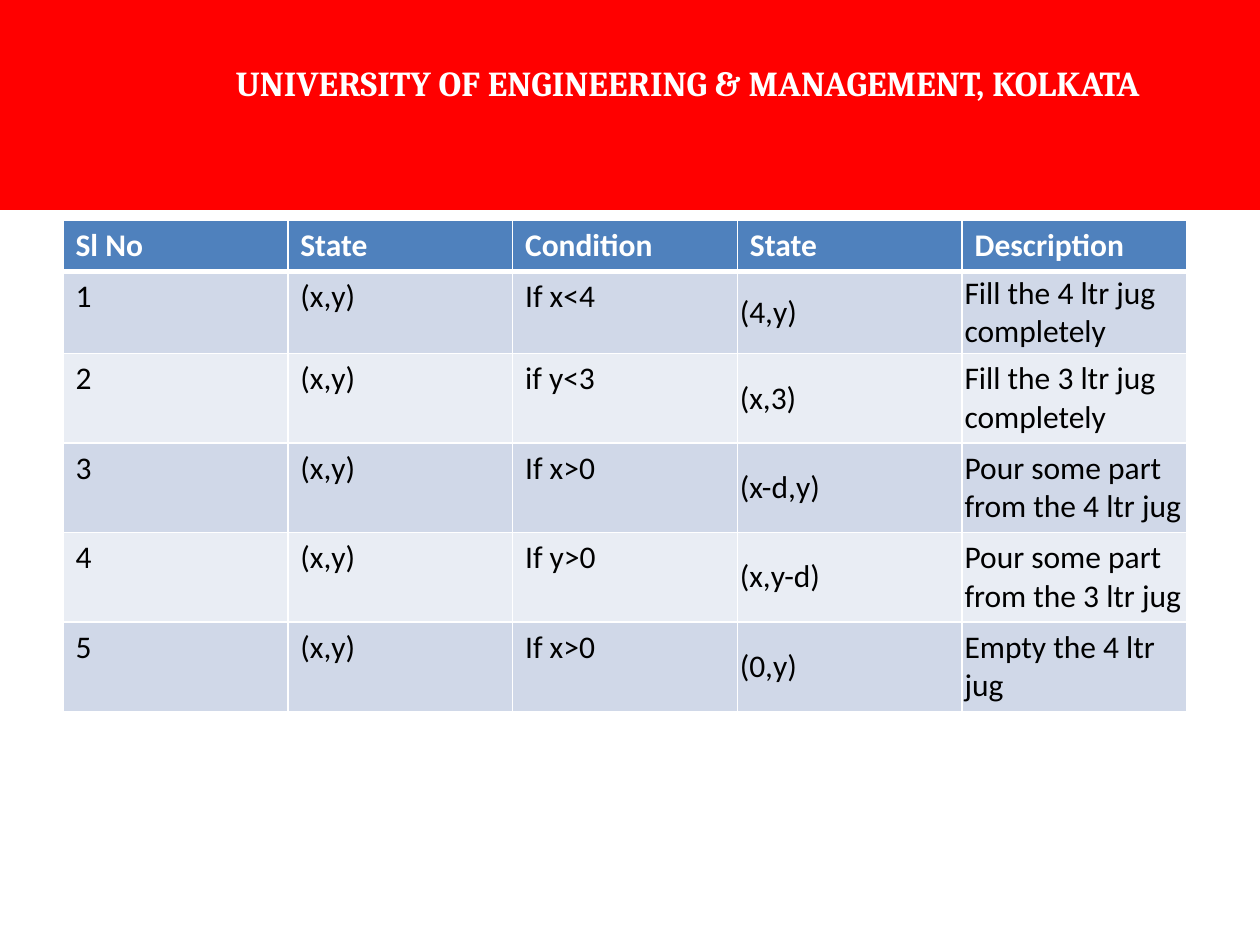
import pptx
import pptx.util
import pptx.enum.text
import pptx.dml.color
import lxml.etree
from dataclasses import dataclass

NS = "http://schemas.openxmlformats.org/drawingml/2006/main"
PLAIN = "{2D5ABB26-0587-4C30-8999-92F81FD0307C}"  # table style without lines
ANCHOR = pptx.enum.text.MSO_ANCHOR
ALIGN = pptx.enum.text.PP_ALIGN


@dataclass(frozen=True)
class Theme:
    red: str = "FF0000"
    blue: str = "4F81BD"
    bands: tuple = ("D0D8E8", "E9EDF4")
    white: str = "FFFFFF"
    black: str = "000000"
    head: str = "Cambria"
    body: str = "Calibri"
    big: int = 20
    mid: int = 18


class Deck:
    """Places tables on a grid of 40 columns by 30 rows."""

    def __init__(self, theme):
        self.theme = theme
        self.prs = pptx.Presentation()
        self.prs.slide_width = pptx.util.Inches(10)
        self.prs.slide_height = pptx.util.Inches(7.5)
        self.unit = self.prs.slide_width // 40
        self.slide = self.prs.slides.add_slide(self.prs.slide_layouts[6])

    def size(self, n):
        return round(n * self.unit)

    def table(self, left, top, cols, rows, **flags):
        box = [self.size(n) for n in (left, top, sum(cols), sum(rows))]
        table = self.slide.shapes.add_table(len(rows), len(cols), *box).table
        for name, value in {"horz_banding": False, **flags}.items():
            setattr(table, name, value)
        table._tbl.tblPr.find(f"{{{NS}}}tableStyleId").text = PLAIN
        for col, n in zip(table.columns, cols):
            col.width = self.size(n)
        for row, n in zip(table.rows, rows):
            row.height = self.size(n)
        return table

    def lines(self, cell, **widths):
        props = cell._tc.get_or_add_tcPr()
        for side, width in widths.items():
            line = lxml.etree.SubElement(
                props, f"{{{NS}}}ln{side}", w=str(pptx.util.Pt(width)))
            fill = lxml.etree.SubElement(line, f"{{{NS}}}solidFill")
            lxml.etree.SubElement(fill, f"{{{NS}}}srgbClr", val=self.theme.white)

    def fill(self, cell, color):
        cell.fill.solid()
        cell.fill.fore_color.rgb = pptx.dml.color.RGBColor.from_string(color)

    def label(self, cell, text, color, align=ALIGN.LEFT, form=None, **font):
        cell.text = text
        para = cell.text_frame.paragraphs[0]
        para.alignment = align
        run = para.runs[0].font
        for name, value in font.items():
            setattr(run, name, value)
        run.color.rgb = pptx.dml.color.RGBColor.from_string(color)
        for name, value in (form or {}).items():
            setattr(cell, name, value)


def banner(deck):
    theme = deck.theme
    table = deck.table(0, 0, (4.68, 34.32, 1), (1.88, 2.56, 2.24), first_row=False)
    for cell in table.iter_cells():
        deck.fill(cell, theme.red)
    # Joined cells around the title
    for start, end in (((0, 0), (0, 1)), ((1, 0), (2, 0)), ((2, 1), (2, 2))):
        table.cell(*start).merge(table.cell(*end))
    deck.label(table.cell(1, 1), "UNIVERSITY OF ENGINEERING & MANAGEMENT, KOLKATA",
               theme.white, ALIGN.CENTER, name=theme.head,
               size=pptx.util.Pt(theme.big), bold=True)


def rules(deck):
    theme = deck.theme
    data = [
        ("Sl No", "State", "Condition", "State", "Description"),
        ("1", "(x,y)", "If x<4", "(4,y)", "Fill the 4 ltr jug completely"),
        ("2", "(x,y)", "if y<3", "(x,3)", "Fill the 3 ltr jug completely"),
        ("3", "(x,y)", "If x>0", "(x-d,y)", "Pour some part from the 4 ltr jug"),
        ("4", "(x,y)", "If y>0", "(x,y-d)", "Pour some part from the 3 ltr jug"),
        ("5", "(x,y)", "If x>0", "(0,y)", "Empty the 4 ltr jug"),
    ]
    edge = pptx.util.Inches(0.02)
    tight = {"vertical_anchor": ANCHOR.MIDDLE}
    tight.update({f"margin_{s}": edge for s in ("left", "top", "right", "bottom")})

    table = deck.table(2, 7, [35.68 / 5] * 5, [1.6] * 2 + [2.84] * 4)
    for r, row in enumerate(data):
        head = r == 0
        for c, text in enumerate(row):
            cell = table.cell(r, c)
            deck.lines(cell, L=1, R=1, T=3 if r == 1 else 1, B=3 if head else 1)
            deck.fill(cell, theme.blue if head else theme.bands[(r - 1) % 2])
            deck.label(cell, text, theme.white if head else theme.black,
                       form=tight if r and c > 2 else None, name=theme.body,
                       size=pptx.util.Pt(theme.mid), bold=head)


def main():
    deck = Deck(Theme())
    # Table of jug moves
    rules(deck)
    # Red title band
    banner(deck)
    deck.prs.save("out.pptx")


if __name__ == "__main__":
    main()
